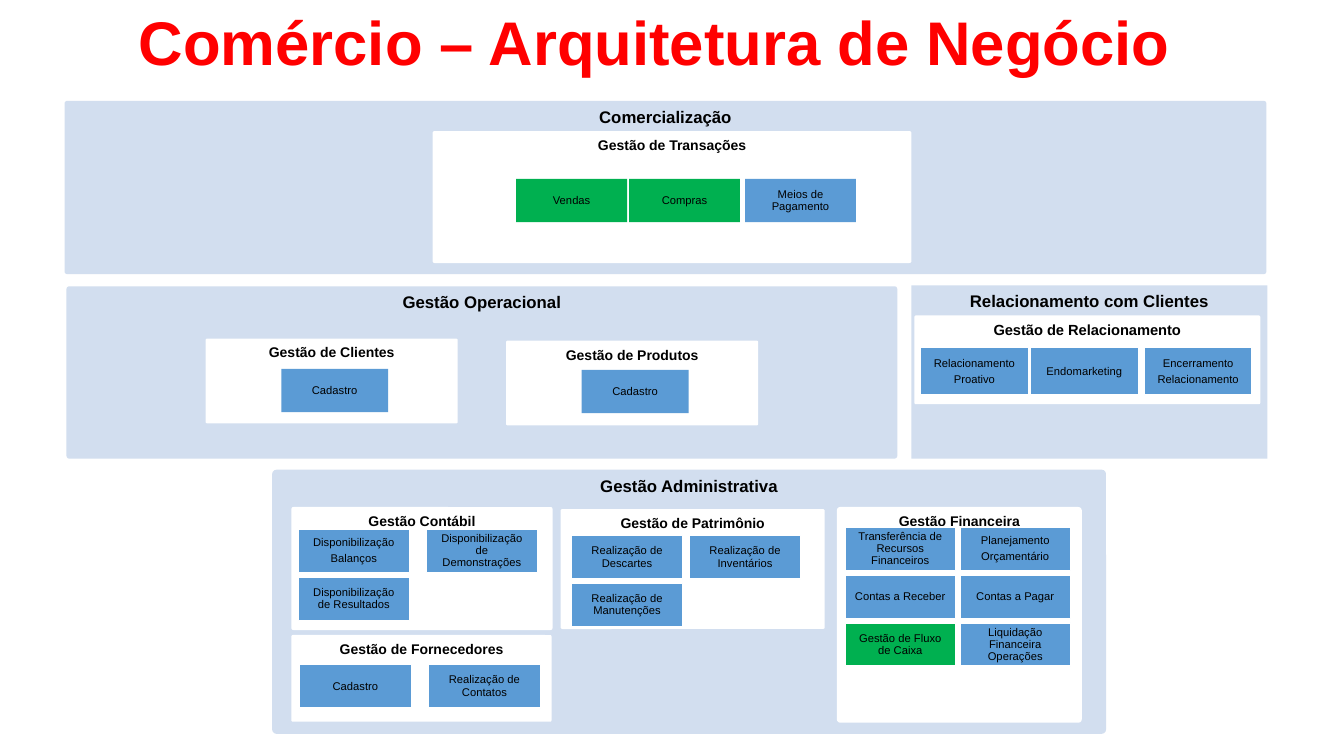
from dataclasses import dataclass

from pptx import Presentation
from pptx import util as u
from pptx.dml.color import RGBColor
from pptx.enum import shapes, text


@dataclass(frozen=True)
class Theme:
    font: str = "Arial"
    title: str = "FF0000"
    ink: str = "000000"
    area: str = "D2DEEF"
    module: str = "FFFFFF"
    capability: str = "5B9BD5"
    highlight: str = "00B050"
    title_size: float = 44
    area_size: float = 12
    module_size: float = 10
    wide_module_size: float = 10.5
    capability_size: float = 8


@dataclass(frozen=True)
class Module:
    title: str
    bounds: tuple
    columns: tuple
    top: float
    names: tuple
    size: tuple = (1.1, 0.43)
    outlined: bool = True
    title_size: float = Theme.module_size


THEME = Theme()
CORNER = 0.016
ROW_PITCH = 0.475
HIGHLIGHTED = {"Vendas", "Compras", "Gestão de Fluxo de Caixa"}

AREAS = [
    ("Comercialização", (0.64, 1, 11.92, 1.72), True, [
        Module("Gestão de Transações", (4.29, 1.3, 4.75, 1.31), (5.12, 6.24, 7.39), 1.775,
               ("Vendas", "Compras", "Meios de Pagamento"), outlined=False),
    ]),
    ("Gestão Operacional", (0.66, 2.84, 8.24, 1.71), True, [
        Module("Gestão de Clientes", (2.04, 3.36, 2.5, 0.84), (2.79,), 3.66,
               ("Cadastro",), (1.06, 0.43), False),
        Module("Gestão de Produtos", (5.02, 3.38, 2.5, 0.84), (5.77,), 3.67,
               ("Cadastro",), (1.06, 0.43), False),
    ]),
    ("Relacionamento com Clientes", (9.04, 2.83, 3.53, 1.72), False, [
        Module("Gestão de Relacionamento", (9.07, 3.13, 3.43, 0.88), (9.13, 10.22, 11.35), 3.45,
               ("Relacionamento\nProativo", "Endomarketing", "Encerramento\nRelacionamento"),
               (1.07, 0.47), title_size=THEME.wide_module_size),
    ]),
    ("Gestão Administrativa", (2.7, 4.66, 8.27, 2.62), True, [
        Module("Gestão Contábil", (2.89, 5.03, 2.59, 1.22), (2.96, 4.23), 5.25,
               ("Disponibilização\nBalanços", "Disponibilização de Demonstrações",
                "Disponibilização de Resultados")),
        Module("Gestão de Fornecedores", (2.89, 6.3, 2.58, 0.86), (2.97, 4.25), 6.595,
               ("Cadastro", "Realização de Contatos"), (1.11, 0.43)),
        Module("Gestão de Patrimônio", (5.56, 5.05, 2.62, 1.19), (5.67, 6.84), 5.315,
               ("Realização de Descartes", "Realização de Inventários",
                "Realização de Manutenções")),
        Module("Gestão Financeira", (8.3, 5.03, 2.43, 2.14), (8.38, 9.52), 5.23,
               ("Transferência de Recursos Financeiros", "Planejamento\nOrçamentário",
                "Contas a Receber", "Contas a Pagar",
                "Gestão de Fluxo de Caixa", "Liquidação Financeira Operações")),
    ]),
]


def write(box, wording, size, color=THEME.ink, bold=False, middle=False,
          insets=(0.1, 0.05, 0.1, 0.05), line_spacing=None, space_after=None):
    frame = box.text_frame
    frame.word_wrap = True
    frame.vertical_anchor = text.MSO_ANCHOR.MIDDLE if middle else text.MSO_ANCHOR.TOP
    frame.margin_left, frame.margin_top, frame.margin_right, frame.margin_bottom = map(u.Inches, insets)
    frame.text = wording
    for para in frame.paragraphs:
        para.alignment = text.PP_ALIGN.CENTER
        if line_spacing:
            para.line_spacing = line_spacing
        if space_after:
            para.space_after = u.Pt(space_after)
        para.font.name = THEME.font
        para.font.size = u.Pt(size)
        para.font.bold = bold
        para.font.color.rgb = RGBColor.from_string(color)


def add_block(page, bounds, fill, rounded=False, outlined=False):
    kind = shapes.MSO_SHAPE.ROUNDED_RECTANGLE if rounded else shapes.MSO_SHAPE.RECTANGLE
    box = page.shapes.add_shape(kind, *map(u.Inches, bounds))
    if rounded:
        box.adjustments[0] = CORNER
    box.shadow.inherit = False
    box.fill.solid()
    box.fill.fore_color.rgb = RGBColor.from_string(fill)
    if outlined:
        box.line.color.rgb = RGBColor.from_string(THEME.module)
        box.line.width = u.Pt(1)
    else:
        box.line.fill.background()
    return box


def add_title(page, wording):
    box = page.shapes.add_textbox(*map(u.Inches, (0.25, 0.05, 12.32, 0.8)))
    write(box, wording, THEME.title_size, THEME.title, bold=True, middle=True,
          insets=(0.24, 0.07, 0.07, 0.07), line_spacing=0.9)


def add_capability(page, name, bounds, outlined):
    fill = THEME.highlight if name in HIGHLIGHTED else THEME.capability
    box = add_block(page, bounds, fill, outlined=outlined)
    write(box, name, THEME.capability_size, middle=True,
          insets=(0.09, 0.07, 0.09, 0.07), line_spacing=0.9, space_after=2.8)


def add_module(page, module):
    box = add_block(page, module.bounds, THEME.module, rounded=True)
    write(box, module.title, module.title_size, bold=True, insets=(0, 0.05, 0, 0.05))
    for index, name in enumerate(module.names):
        row, column = divmod(index, len(module.columns))
        place = (module.columns[column], module.top + row * ROW_PITCH)
        add_capability(page, name, place + module.size, module.outlined)


def add_area(page, title, bounds, rounded, modules):
    box = add_block(page, bounds, THEME.area, rounded)
    write(box, title, THEME.area_size, bold=True)
    for module in modules:
        add_module(page, module)


def main():
    deck = Presentation()
    deck.slide_width, deck.slide_height = u.Inches(13.33), u.Inches(7.5)
    page = deck.slides.add_slide(deck.slide_layouts[6])
    add_title(page, "Comércio – Arquitetura de Negócio")
    for area in AREAS:
        add_area(page, *area)
    deck.save("out.pptx")


if __name__ == "__main__":
    main()
